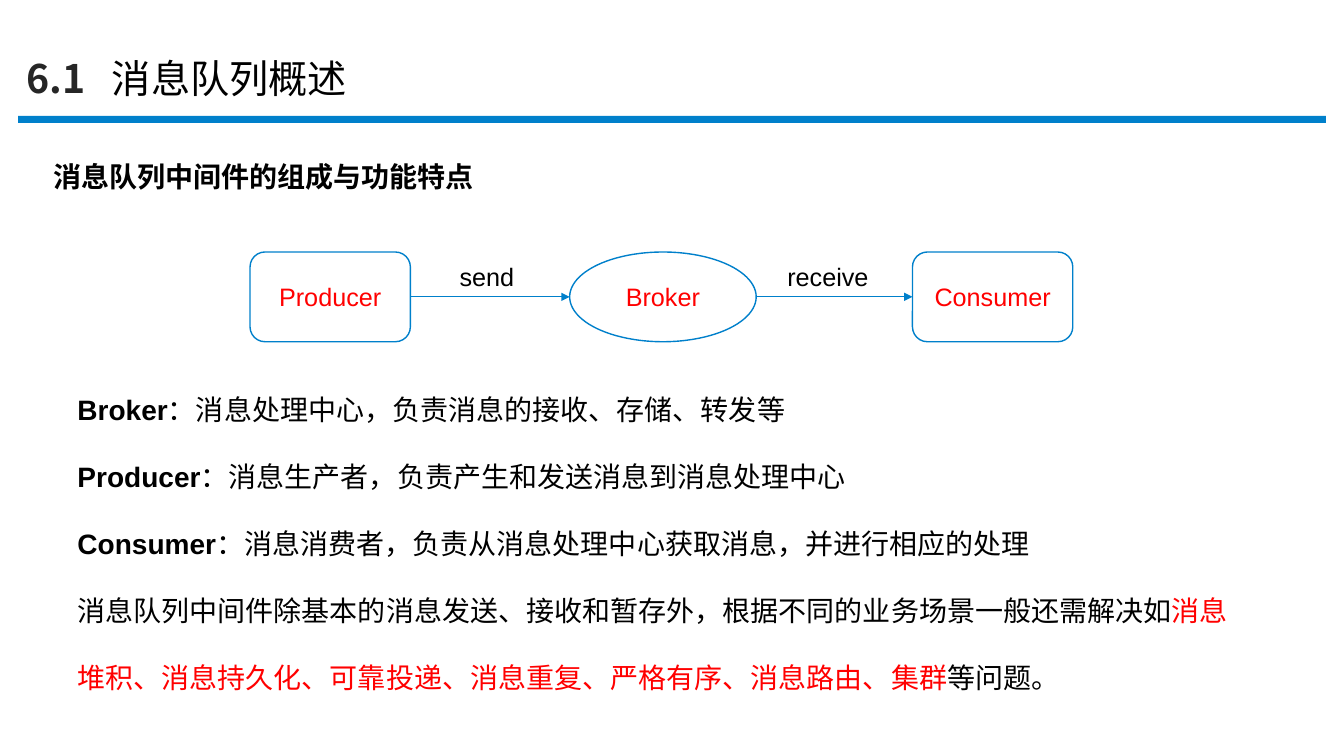
import pptx
import pptx.util
import pptx.dml.color
import pptx.enum.shapes
import pptx.enum.text
import pptx.oxml
import pptx.oxml.ns

Inches = pptx.util.Inches
SHAPES = pptx.enum.shapes.MSO_SHAPE
ALIGN = pptx.enum.text.PP_ALIGN
ANCHOR = pptx.enum.text.MSO_ANCHOR

COLOURS = {
    "blue": "0080CB",
    "red": "FF0000",
    "black": "000000",
    "dark": "262626",
    "white": "FFFFFF",
}
CHINESE_FONT = "Noto Sans CJK SC"
NODE_TOP = 2.5
NODE_HEIGHT = 0.89

DEFINITIONS = [
    ("Broker", "：消息处理中心，负责消息的接收、存储、转发等"),
    ("Producer", "：消息生产者，负责产生和发送消息到消息处理中心"),
    ("Consumer", "：消息消费者，负责从消息处理中心获取消息，并进行相应的处理"),
]
SUMMARY = [
    ("消息队列中间件除基本的消息发送、接收和暂存外，根据不同的业务场景一般还需解决如", "black"),
    ("消息堆积、消息持久化、可靠投递、消息重复、严格有序、消息路由、集群", "red"),
    ("等问题。", "black"),
]


def colour(name):
    return pptx.dml.color.RGBColor.from_string(COLOURS[name])


def add_xml(parent, tag, content=""):
    namespace = pptx.oxml.ns.nsdecls("a")
    element = pptx.oxml.parse_xml(f"<a:{tag} {namespace}>{content}</a:{tag}>")
    parent.append(element)
    return element


def add_run(paragraph, text, size, colour_name="black", bold=False, name="Arial"):
    run = paragraph.add_run()
    run.text = text
    values = {"size": pptx.util.Pt(size), "bold": bold, "name": name}
    for attribute, value in values.items():
        setattr(run.font, attribute, value)
    run.font.color.rgb = colour(colour_name)


def place(shape, left, top, width, height):
    values = {"left": left, "top": top, "width": width, "height": height}
    for attribute, value in values.items():
        setattr(shape, attribute, Inches(value))


def format_title(slide):
    title = slide.shapes.title
    place(title, 0.16, 0.49, 7.06, 1.04)
    title.text_frame.vertical_anchor = ANCHOR.TOP
    title.text_frame.auto_size = pptx.enum.text.MSO_AUTO_SIZE.NONE
    paragraph = title.text_frame.paragraphs[0]
    add_xml(paragraph._p.get_or_add_pPr(), "tabLst",
            f'<a:tab pos="{Inches(0.85)}" algn="l"/>')
    paragraph.alignment = ALIGN.LEFT
    add_run(paragraph, "6.1", 28, "dark", True, CHINESE_FONT)
    add_run(paragraph, "\t消息队列概述", 28, "black", False, CHINESE_FONT)


def add_text_box(slide, left, top, width, height, wrap=False):
    box = slide.shapes.add_textbox(
        Inches(left), Inches(top), Inches(width), Inches(height))
    box.text_frame.word_wrap = wrap
    return box.text_frame


def add_label(slide, text, left, top, width, height, size=18, bold=False):
    frame = add_text_box(slide, left, top, width, height)
    add_run(frame.paragraphs[0], text, size, bold=bold)


def add_filled_shape(slide, kind, left, top, width, height, fill):
    shape = slide.shapes.add_shape(
        kind, Inches(left), Inches(top), Inches(width), Inches(height))
    shape.shadow.inherit = False
    shape.fill.solid()
    shape.fill.fore_color.rgb = colour(fill)
    return shape


def add_node(slide, kind, text, left, width):
    node = add_filled_shape(slide, kind, left, NODE_TOP, width, NODE_HEIGHT, "white")
    node.line.color.rgb = colour("blue")
    node.line.width = pptx.util.Pt(1)
    node.text_frame.vertical_anchor = ANCHOR.MIDDLE
    paragraph = node.text_frame.paragraphs[0]
    paragraph.alignment = ALIGN.CENTER
    add_run(paragraph, text, 18, "red")
    return node


def add_arrow(slide, source, target):
    middle = source.top + source.height // 2
    arrow = slide.shapes.add_connector(
        pptx.enum.shapes.MSO_CONNECTOR.STRAIGHT,
        source.left + source.width, middle, target.left, middle)
    arrow.line.color.rgb = colour("blue")
    arrow.line.width = pptx.util.Pt(0.5)
    add_xml(arrow.line._get_or_add_ln(), "tailEnd").set("type", "triangle")
    add_xml(arrow._element.spPr, "effectLst")
    return arrow


def add_flow(slide):
    producer = add_node(slide, SHAPES.ROUNDED_RECTANGLE, "Producer", 2.48, 1.59)
    consumer = add_node(slide, SHAPES.ROUNDED_RECTANGLE, "Consumer", 9.05, 1.59)
    broker = add_node(slide, SHAPES.OVAL, "Broker", 5.65, 1.85)
    add_arrow(slide, producer, broker).begin_connect(producer, 3)
    add_arrow(slide, broker, consumer).end_connect(consumer, 1)
    add_label(slide, "send", 4.46, 2.54, 0.74, 0.4)
    add_label(slide, "receive", 7.71, 2.54, 1.01, 0.4)


def add_description(slide):
    frame = add_text_box(slide, 0.67, 3.84, 11.88, 3.13, wrap=True)
    paragraph = frame.paragraphs[0]
    for term, meaning in DEFINITIONS:
        add_run(paragraph, term, 20, bold=True)
        add_run(paragraph, meaning, 20)
        paragraph = frame.add_paragraph()
        paragraph.line_spacing = 2.0
    for text, colour_name in SUMMARY:
        add_run(paragraph, text, 20, colour_name)


def main():
    presentation = pptx.Presentation()
    presentation.slide_width = Inches(13.33)
    presentation.slide_height = Inches(7.5)
    slide = presentation.slides.add_slide(presentation.slide_layouts[5])
    rule = add_filled_shape(slide, SHAPES.RECTANGLE, 0.18, 1.15, 12.97, 0.07, "blue")
    rule.line.fill.background()
    format_title(slide)
    add_label(slide, "消息队列中间件的组成与功能特点", 0.43, 1.53, 4.41, 0.44, 20, True)
    add_flow(slide)
    add_description(slide)
    presentation.save("out.pptx")


if __name__ == "__main__":
    main()
